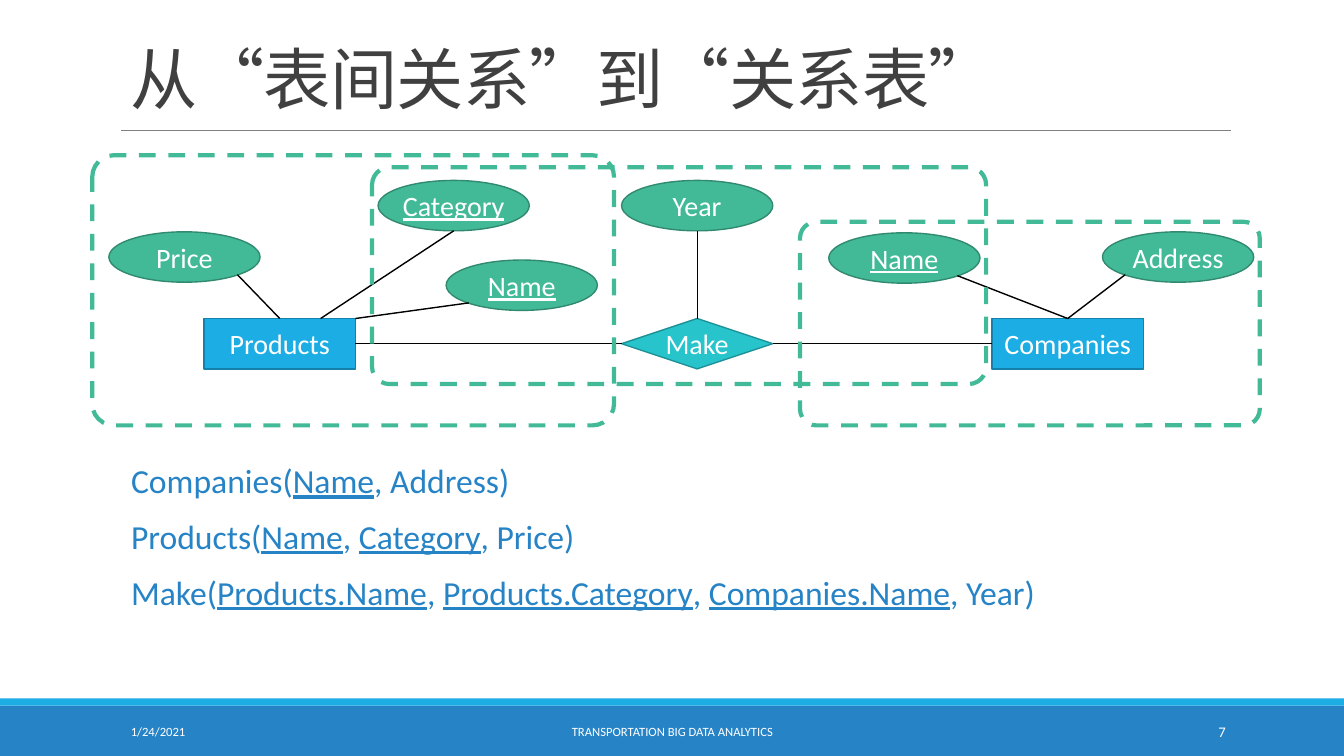
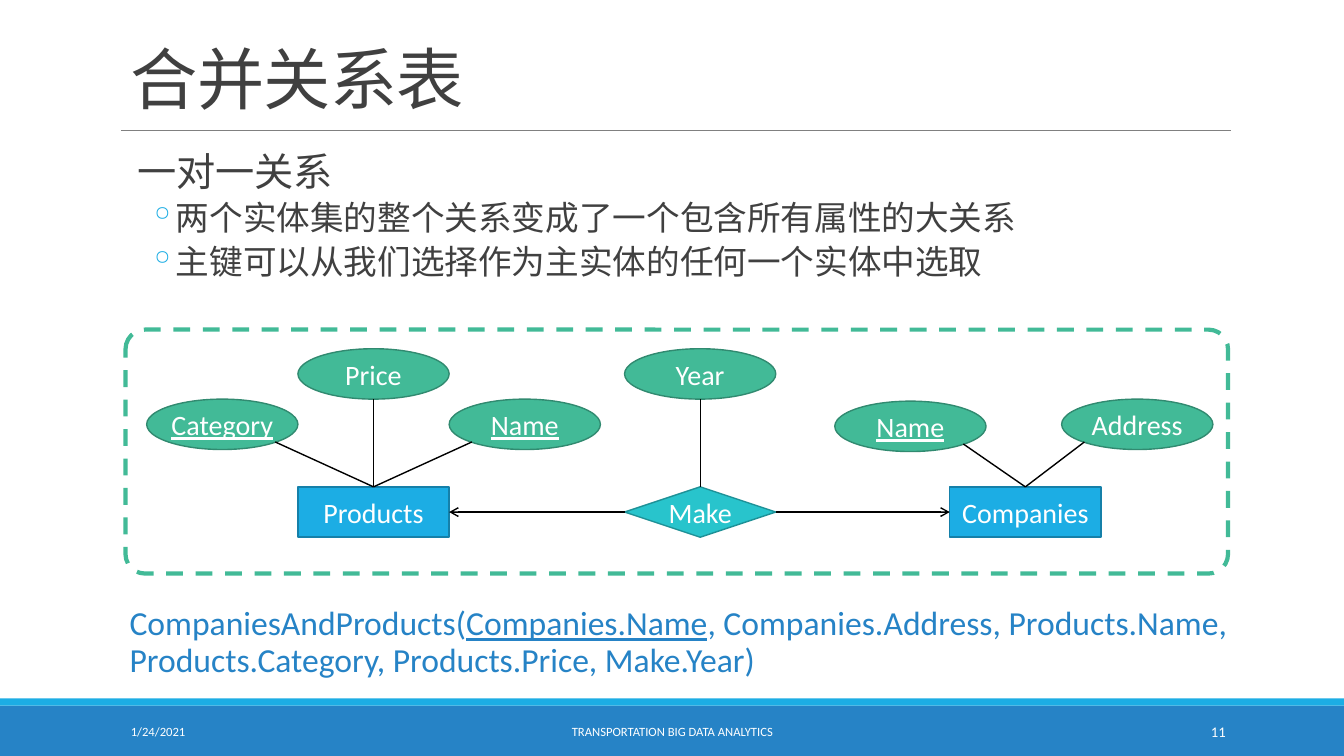
from collections import namedtuple

from lxml import etree
from pptx import Presentation
from pptx.dml.color import RGBColor
from pptx.enum.dml import MSO_LINE
from pptx.enum.lang import MSO_LANGUAGE_ID as Language
from pptx.enum.shapes import MSO_CONNECTOR, MSO_SHAPE as Preset
from pptx.enum.text import MSO_ANCHOR as Anchor, PP_ALIGN as Align
from pptx.oxml.ns import qn
from pptx.util import Inches, Pt

# One grid cell is the size of one diagram node.
COLUMN, ROW = 1.5, 0.5
PAGE_COLUMNS, PAGE_ROWS = 13.33 / COLUMN, 7.5 / ROW
FONT = "Calibri"
COLORS = {
    "band": "2683C6", "strip": "1CADE4", "rule": "808080", "title": "404040",
    "schema": "2683C6", "white": "FFFFFF", "link": "000000", "frame": "42BA97",
    "entity": "1CADE4", "entity_line": "1580A9",
    "attribute": "42BA97", "attribute_line": "318A70",
    "relation": "28C4CC", "relation_line": "1E9197",
}

Box = namedtuple("Box", "left top width height")

NODE_PRESETS = {"entity": Preset.RECTANGLE, "attribute": Preset.OVAL,
                "relation": Preset.DIAMOND}
# Text between bars is underlined: it marks a key.
NODES = {
    "make": ("relation", "Make"),
    "companies": ("entity", "Companies"),
    "products": ("entity", "Products"),
    "product_name": ("attribute", "|Name|"),
    "price": ("attribute", "Price"),
    "year": ("attribute", "Year"),
    "category": ("attribute", "|Category|"),
    "address": ("attribute", "Address"),
    "company_name": ("attribute", "|Name|"),
}
# Shares of a node's width and height.
ANCHORS = {
    "top": (0.5, 0), "bottom": (0.5, 1), "left": (0, 0.5), "right": (1, 0.5),
    "lower_left": (0.15, 0.85), "lower_right": (0.85, 0.85),
    "top_three_quarters": (0.77, 0), "top_corner": (1, 0),
}
SHARED_LINKS = [
    ("make", "top", "year", "bottom"),
    ("company_name", "lower_right", "companies", "top"),
    ("address", "lower_left", "companies", "top"),
    ("make", "right", "companies", "left"),
    ("make", "left", "products", "right"),
]


def rgb(name):
    return RGBColor.from_string(COLORS[name])


def place(box):
    """Turn a box in grid cells into slide lengths."""
    return (Inches(box.left * COLUMN), Inches(box.top * ROW),
            Inches(box.width * COLUMN), Inches(box.height * ROW))


def add_filled(slide, preset, box, fill, line=None):
    shape = slide.shapes.add_shape(preset, *place(box))
    shape.shadow.inherit = False
    shape.fill.solid()
    shape.fill.fore_color.rgb = rgb(fill)
    if line:
        shape.line.color.rgb = rgb(line)
        shape.line.width = Pt(1)
    else:
        shape.line.fill.background()
    return shape


def add_line(slide, start, end, color, width, arrow=False):
    points = [Inches(value * size) for point in (start, end)
              for value, size in zip(point, (COLUMN, ROW))]
    connector = slide.shapes.add_connector(MSO_CONNECTOR.STRAIGHT, *points)
    connector.line.color.rgb = rgb(color)
    connector.line.width = Pt(width)
    if arrow:
        outline = connector.line._get_or_add_ln()
        etree.SubElement(outline, qn("a:tailEnd"), type="arrow")
    etree.SubElement(connector._element.spPr, qn("a:effectLst"))


def write_runs(paragraph, marked_text, size, color):
    """Fill a paragraph, underlining the parts between bars."""
    for index, part in enumerate(marked_text.split("|")):
        if part:
            run = paragraph.add_run()
            run.text = part
            font = run.font
            font.name, font.size = FONT, Pt(size)
            font.color.rgb = rgb(color)
            font.language_id = Language.SIMPLIFIED_CHINESE
            if index % 2:
                font.underline = True


def add_text_box(slide, box, anchor=Anchor.TOP, side_margin=0.1):
    frame = slide.shapes.add_textbox(*place(box)).text_frame
    frame.word_wrap = True
    frame.vertical_anchor = anchor
    frame.margin_left = frame.margin_right = Inches(side_margin)
    return frame


def add_paragraph(frame, first, before, after, left, hanging=0, bullet=None):
    paragraph = frame.paragraphs[0] if first else frame.add_paragraph()
    properties = paragraph._p.get_or_add_pPr()
    properties.set("marL", str(Inches(left)))
    properties.set("indent", str(-Inches(hanging)))
    if bullet:
        bullet_color = etree.SubElement(properties, qn("a:buClr"))
        etree.SubElement(bullet_color, qn("a:srgbClr"), val=COLORS["strip"])
        etree.SubElement(properties, qn("a:buChar"), char=bullet)
    paragraph.line_spacing = 0.9
    paragraph.space_before = Pt(0 if first else before)
    paragraph.space_after = Pt(after)
    return paragraph


def add_schemas(slide, box, schemas):
    frame = add_text_box(slide, box, side_margin=0)
    for index, schema in enumerate(schemas):
        paragraph = add_paragraph(frame, index == 0, 12, 2, left=0.1)
        write_runs(paragraph, schema, 24, "schema")


def add_outline(slide, box, heading, points):
    frame = add_text_box(slide, box, side_margin=0)
    paragraph = add_paragraph(frame, True, 12, 2, left=0.1)
    write_runs(paragraph, heading, 28, "title")
    for point in points:
        paragraph = add_paragraph(frame, False, 2, 4, left=0.42, hanging=0.2,
                                  bullet="◦")
        paragraph.level = 1
        write_runs(paragraph, point, 24, "title")


def add_title(slide, box, title):
    paragraph = add_text_box(slide, box, Anchor.BOTTOM).paragraphs[0]
    paragraph.line_spacing = 0.85
    write_runs(paragraph, title, 48, "title")
    for run in paragraph.runs:
        run.font._element.set("spc", "-50")


def add_footer(slide, box, number):
    add_filled(slide, Preset.RECTANGLE, box, "band")
    add_filled(slide, Preset.RECTANGLE,
               box._replace(top=box.top - 0.14, height=0.14), "strip")
    for left, width, text, size, align in (
            (0.8, 1.8, "1/24/2021", 9, Align.LEFT),
            (2.69, 3.51, "TRANSPORTATION BIG DATA ANALYTICS", 9, Align.CENTER),
            (7.22, 0.95, str(number), 10.5, Align.RIGHT)):
        text_box = Box(box.left + left, box.top + 0.12, width, 0.8)
        paragraph = add_text_box(slide, text_box, Anchor.MIDDLE).paragraphs[0]
        paragraph.alignment = align
        write_runs(paragraph, text, size, "white")


def add_node(slide, box, kind, label):
    shape = add_filled(slide, NODE_PRESETS[kind], box, kind, kind + "_line")
    frame = shape.text_frame
    frame.word_wrap = False
    frame.vertical_anchor = Anchor.MIDDLE
    paragraph = frame.paragraphs[0]
    paragraph.alignment = Align.CENTER
    write_runs(paragraph, label, 20, "white")


def add_dashed_frame(slide, box):
    shape = slide.shapes.add_shape(Preset.ROUNDED_RECTANGLE, *place(box))
    shape.shadow.inherit = False
    shape.adjustments[0] = 0.08
    shape.fill.background()
    shape.line.color.rgb = rgb("frame")
    shape.line.width = Pt(3)
    shape.line.dash_style = MSO_LINE.DASH


def add_diagram(slide, origin, positions, links, frames, arrows=False):
    """Draw an entity-relationship diagram; positions count from the origin."""
    left, top = origin
    boxes = {name: Box(left + column, top + row, 1, 1)
             for name, (column, row) in positions.items()}

    def anchor_point(name, anchor):
        across, down = ANCHORS[anchor]
        return boxes[name].left + across, boxes[name].top + down

    for name, box in boxes.items():
        add_node(slide, box, *NODES[name])
    for start, start_anchor, end, end_anchor in SHARED_LINKS + links:
        points_at_entity = arrows and start == "make" and end != "year"
        add_line(slide, anchor_point(start, start_anchor),
                 anchor_point(end, end_anchor), "link", 1, points_at_entity)
    for column, row, width, height in frames:
        add_dashed_frame(slide, Box(left + column, top + row, width, height))


def add_base_slide(presentation, title, number):
    slide = presentation.slides.add_slide(presentation.slide_layouts[6])
    add_footer(slide, Box(0, 14, PAGE_COLUMNS, PAGE_ROWS - 14), number)
    add_line(slide, (0.8, 2.58), (8.14, 2.58), "rule", 0.5)
    add_title(slide, Box(0.8, 0.26, 7.33, 2.18), title)
    return slide


def build_relations_slide(presentation):
    slide = add_base_slide(presentation, "从“表间关系”到“关系表”", 7)
    add_schemas(slide, Box(0.8, 9.12, 7.33, 4.66), [
        "Companies(|Name|, Address)",
        "Products(|Name|, |Category|, Price)",
        "Make(|Products.Name|, |Products.Category|, |Companies.Name|, Year)",
    ])
    positions = {
        "make": (3.5, 3.24), "companies": (5.95, 3.24),
        "products": (0.74, 3.24), "product_name": (2.34, 2.08),
        "price": (0.11, 1.52), "year": (3.5, 0.5), "category": (1.89, 0.5),
        "address": (6.68, 1.52), "company_name": (4.87, 1.54),
    }
    links = [
        ("products", "top_three_quarters", "category", "bottom"),
        ("products", "top_corner", "product_name", "lower_left"),
        ("products", "top", "price", "lower_right"),
    ]
    frames = [(1.85, 0.24, 4.06, 4.3), (4.68, 1.32, 3.04, 4.04),
              (0, 0, 3.45, 5.36)]
    add_diagram(slide, (0.61, 3.08), positions, links, frames)


def build_merge_slide(presentation):
    slide = add_base_slide(presentation, "合并关系表", 11)
    add_outline(slide, Box(0.84, 2.94, 7.33, 3.26), "一对一关系", [
        "两个实体集的整个关系变成了一个包含所有属性的大关系",
        "主键可以从我们选择作为主实体的任何一个实体中选取",
    ])
    positions = {
        "make": (3.3, 3.12), "companies": (5.45, 3.12),
        "products": (1.14, 3.12), "product_name": (2.14, 1.38),
        "category": (0.14, 1.38), "year": (3.3, 0.38), "price": (1.14, 0.38),
        "address": (6.19, 1.38), "company_name": (4.69, 1.42),
    }
    links = [
        ("products", "top", "price", "bottom"),
        ("products", "top", "product_name", "lower_left"),
        ("products", "top", "category", "lower_right"),
    ]
    add_diagram(slide, (0.83, 6.54), positions, links, [(0, 0, 7.29, 4.84)],
                arrows=True)
    add_schemas(slide, Box(0.79, 11.94, 7.33, 1.84), [
        "CompaniesAndProducts(|Companies.Name|, Companies.Address, "
        "Products.Name, Products.Category, Products.Price, Make.Year)",
    ])


def main():
    presentation = Presentation()
    presentation.slide_width = Inches(PAGE_COLUMNS * COLUMN)
    presentation.slide_height = Inches(PAGE_ROWS * ROW)
    build_relations_slide(presentation)
    build_merge_slide(presentation)
    presentation.save("out.pptx")


if __name__ == "__main__":
    main()
